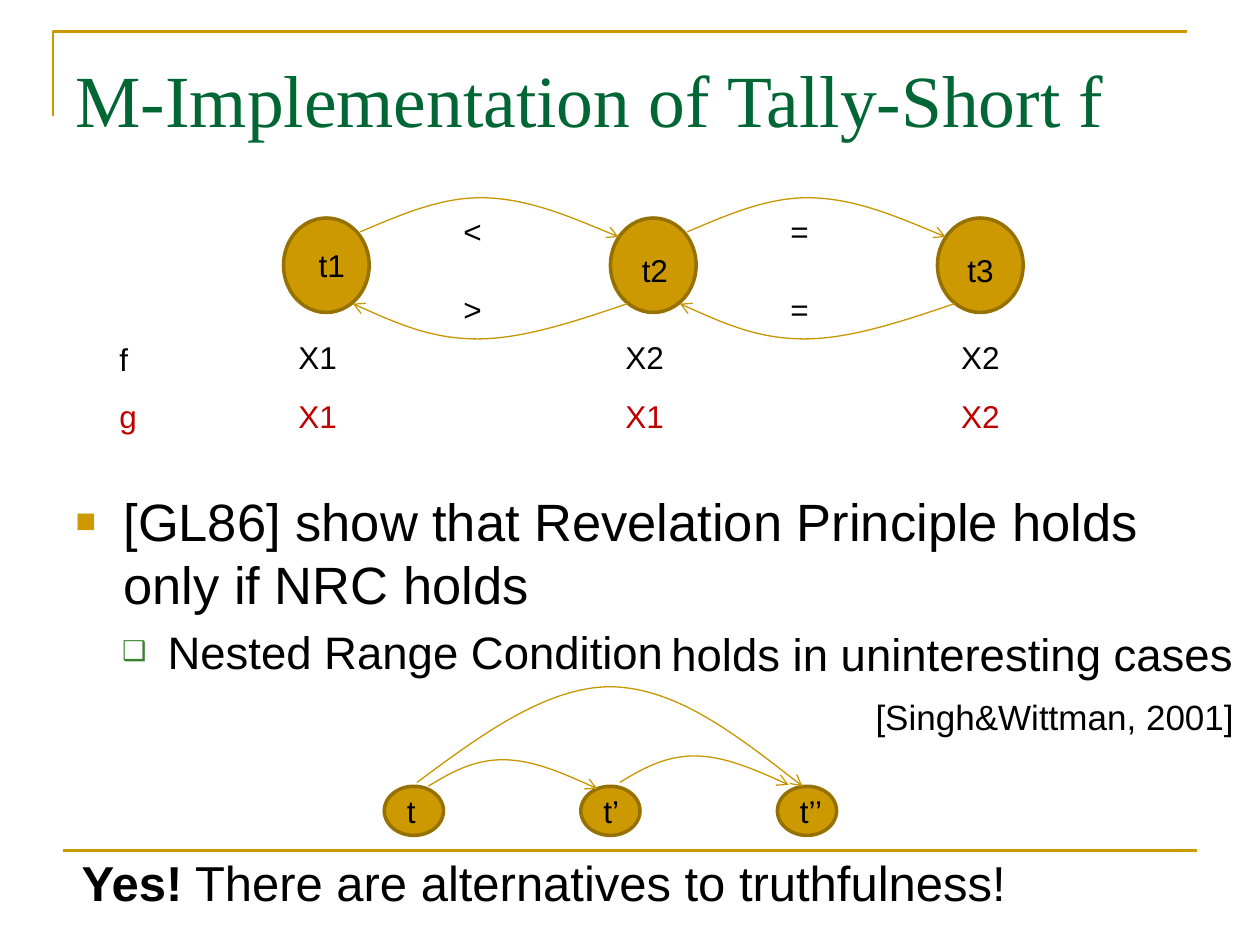
from dataclasses import dataclass

from lxml import etree
from pptx import Presentation
from pptx.dml.color import RGBColor
from pptx.enum.shapes import MSO_CONNECTOR, MSO_SHAPE
from pptx.enum.text import MSO_ANCHOR, MSO_AUTO_SIZE, PP_ALIGN
from pptx.oxml.ns import qn
from pptx.util import Inches, Pt

OVAL = MSO_SHAPE.OVAL
LINE = MSO_CONNECTOR.STRAIGHT
TOP = MSO_ANCHOR.TOP
LEFT = PP_ALIGN.LEFT
FIXED = MSO_AUTO_SIZE.NONE


@dataclass(frozen=True)
class Theme:
    gold: str = "CC9900"
    rim: str = "977100"
    arc: str = "C89600"
    green: str = "006633"
    leaf: str = "3B812F"
    red: str = "C00000"
    ink: str = "000000"
    sans: str = "Arial"
    serif: str = "Times New Roman"
    title: int = 42
    body: int = 30
    sub: int = 26
    foot: int = 28
    cite: int = 20
    label: int = 18


THEME = Theme()

# Cubic curves, as offsets from the top left of the node they start or end at
FORTH = [(.61, .11), (.94, -.03), (1.26, -.17), (1.6, -.16),
         (1.94, -.15), (2.3, 0), (2.66, .15)]
BACK = [(2.73, .68), (2.32, .82), (1.9, .96), (1.54, .96),
        (1.18, .96), (.86, .82), (.55, .68)]
HOP = [(.35, 0), (.53, -.11), (.71, -.21), (.94, -.21),
       (1.16, -.21), (1.43, -.1), (1.69, .02)]
LEAP = [(.26, -.03), (.77, -.41), (1.29, -.79), (1.8, -.79),
        (2.31, -.78), (2.82, -.39), (3.32, 0)]


def rgb(code):
    return RGBColor.from_string(code)


def style(run, size, color=THEME.ink, face=THEME.sans, bold=False):
    font = run.font
    font.size, font.name, font.bold = Pt(size), face, bold
    font.color.rgb = rgb(color)


def place(shape, x, y, w, h):
    shape.left, shape.top = Inches(x), Inches(y)
    shape.width, shape.height = Inches(w), Inches(h)


def label(shapes, text, x, y, w, h=.4, size=THEME.label, color=THEME.ink):
    box = shapes.add_textbox(Inches(x), Inches(y), Inches(w), Inches(h))
    frame = box.text_frame
    frame.word_wrap = True
    frame.text = text
    style(frame.paragraphs[0].runs[0], size, color)
    return frame


def node(shapes, x, y, w, h):
    oval = shapes.add_shape(OVAL, Inches(x), Inches(y), Inches(w), Inches(h))
    oval.shadow.inherit = False
    oval.fill.solid()
    oval.fill.fore_color.rgb = rgb(THEME.gold)
    oval.line.color.rgb = rgb(THEME.rim)
    oval.line.width = Pt(2)


def outline(shapes, points, color, width):
    """Draw an open, unfilled outline through the points."""
    spots = [(Inches(x), Inches(y)) for x, y in points]
    pen = shapes.build_freeform(*spots[0])
    pen.add_line_segments(spots[1:], close=False)
    shape = pen.convert_to_shape()
    shape.shadow.inherit = False
    shape.fill.background()
    shape.line.color.rgb = rgb(color)
    shape.line.width = Pt(width)
    return shape


def arc(shapes, x, y, curve):
    """Draw an arrow whose points, after the first, are Bezier triples."""
    points = [(x + dx, y + dy) for dx, dy in curve]
    shape = outline(shapes, points, THEME.arc, .75)
    steps = list(shape._element.iter(qn("a:lnTo")))
    for i in range(0, len(steps), 3):
        bend = etree.Element(qn("a:cubicBezTo"))
        steps[i].addprevious(bend)
        for step in steps[i:i + 3]:
            bend.append(step[0])
            step.getparent().remove(step)
    line = shape._element.spPr.find(qn("a:ln"))
    etree.SubElement(line, qn("a:tailEnd"), type="arrow")


def rules(shapes, x, y):
    """Draw the corner at the top and the rule at the foot."""
    corner = [(x, y + .67), (x, y), (x + 9, y)]
    outline(shapes, corner, THEME.gold, 1.5)
    rule = shapes.add_connector(LINE, Inches(x + .08), Inches(y + 6.5),
                                Inches(x + 9.08), Inches(y + 6.5))
    rule.line.color.rgb = rgb(THEME.gold)
    rule.line.width = Pt(1.5)
    etree.SubElement(rule._element.spPr, qn("a:effectLst"))


def heading(shape, x, y, w, h):
    place(shape, x, y, w, h)
    frame = shape.text_frame
    frame.text = "M-Implementation of Tally-Short f"
    frame.auto_size, frame.vertical_anchor = FIXED, TOP
    frame.margin_top = Inches(.13)
    para = frame.paragraphs[0]
    para.alignment = LEFT
    style(para.runs[0], THEME.title, THEME.green, THEME.serif)


def bullet(para, mark, color, share, left, hang):
    props = para._p.get_or_add_pPr()
    props.set("marL", str(Inches(left)))
    props.set("indent", str(-Inches(hang)))
    tint = etree.SubElement(props, qn("a:buClr"))
    etree.SubElement(tint, qn("a:srgbClr"), val=color)
    etree.SubElement(props, qn("a:buSzPct"), val=str(share * 1000))
    etree.SubElement(props, qn("a:buFont"), typeface=THEME.sans)
    etree.SubElement(props, qn("a:buChar"), char=mark)


def claims(shape, x, y, w, h):
    place(shape, x, y, w, h)
    frame = shape.text_frame
    frame.auto_size, frame.vertical_anchor = FIXED, TOP
    frame.text = ("[GL86] show that Revelation Principle holds only if NRC "
                  "holds\nNested Range Condition")
    looks = [(THEME.body, "■", THEME.gold, 65, .38, .38),
             (THEME.sub, "❑", THEME.leaf, 60, .73, .36)]
    for level, (para, look) in enumerate(zip(frame.paragraphs, looks)):
        size, *mark = look
        para.level = level
        para.space_before = Pt(size * .2)
        bullet(para, *mark)
        style(para.runs[0], size)


def chain(shapes, x, y):
    """Draw three types with arrows both ways, and the rows for f and g."""
    gap = 5.19 / 2
    first = x + 1.4
    stops = [("t1", .18, .17, .02, "X1", "X1"),
             ("t2", .15, .21, .02, "X2", "X1"),
             ("t3", .14, .21, .09, "X2", "X2")]
    for i, (name, dx, dy, shift, top, low) in enumerate(stops):
        left = first + i * gap
        node(shapes, left, y, .68, .75)
        label(shapes, name, left + dx, y + dy, .49, .35)
        label(shapes, top, left + shift, y + .9, .57)
        label(shapes, low, left + shift, y + 1.37, .57, color=THEME.red)
    for i, signs in enumerate(["<>", "=="]):
        left = first + i * gap
        arc(shapes, left, y, FORTH)
        arc(shapes, left, y, BACK)
        for sign, dy in zip(signs, (-.1, .52)):
            label(shapes, sign, left + 1.33, y + dy, .46)
    label(shapes, "f", x, y + .92, .47)
    label(shapes, "g", x, y + 1.37, .47, color=THEME.red)


def nest(shapes, x, y):
    """Draw the three types of the nested range condition."""
    gap = 1.56
    for i, name in enumerate(["t", "t’", "t’’"]):
        group = shapes.add_group_shape().shapes
        left = x + i * gap
        node(group, left, y, .47, .39)
        label(group, name, left + .08, y, .55)
    arc(shapes, x, y, HOP)
    arc(shapes, x + gap - .04, y - .03, HOP)
    arc(shapes, x, y, LEAP)


def remark(shapes, x, y):
    group = shapes.add_group_shape().shapes
    label(group, "holds in uninteresting cases", x, y, 4.69, .54, THEME.sub)
    label(group, "[Singh&Wittman, 2001]", x + 1.62, y + .55, 3.15, .44,
          THEME.cite)


def closing(shapes, x, y):
    frame = label(shapes, "Yes!", x, y, 8.75, .57, THEME.foot)
    para = frame.paragraphs[0]
    para.runs[0].font.bold = True
    rest = para.add_run()
    rest.text = " There are alternatives to truthfulness!"
    style(rest, THEME.foot)


def main():
    deck = Presentation()
    deck.slide_width, deck.slide_height = Inches(10), Inches(7.5)
    slide = deck.slides.add_slide(deck.slide_layouts[1])
    shapes = slide.shapes
    rules(shapes, .42, .25)
    heading(shapes.title, .5, .3, 9, 1.25)
    claims(slide.placeholders[1], .5, 3.83, 9, 1.25)
    chain(shapes, .85, 1.73)
    closing(shapes, .55, 6.72)
    nest(shapes, 3.05, 6.24)
    remark(shapes, 5.23, 4.92)
    deck.save("out.pptx")


if __name__ == "__main__":
    main()
